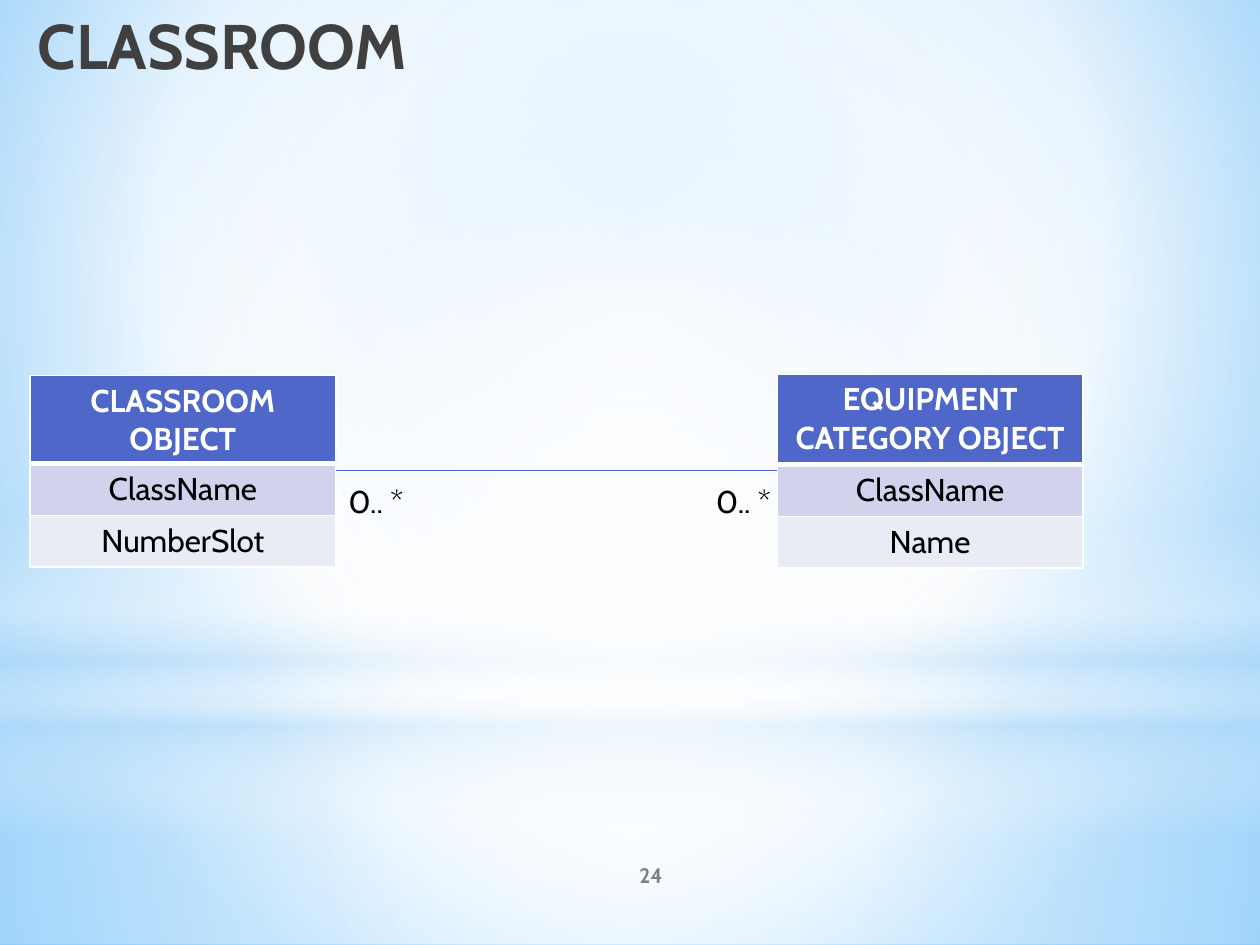
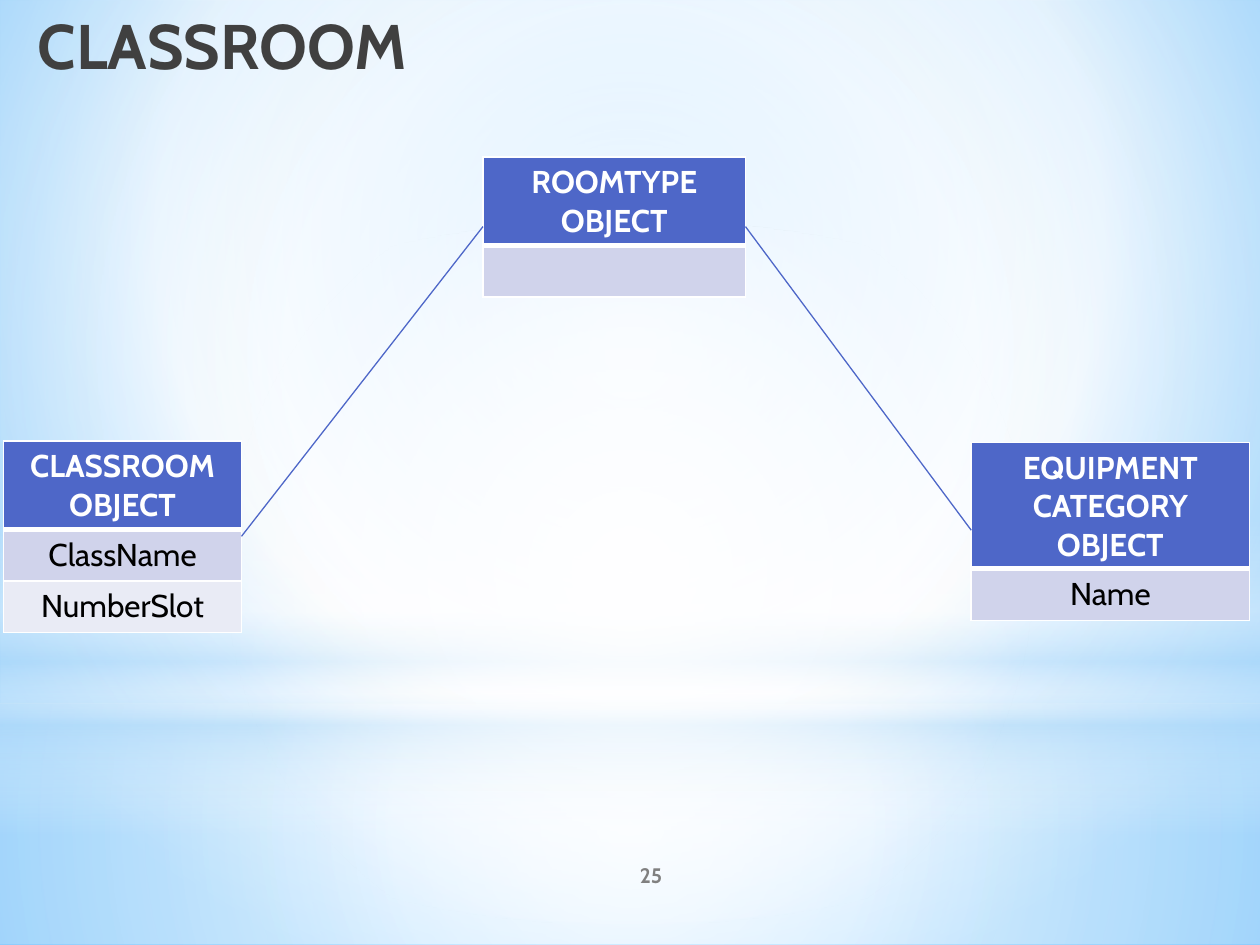
from typing import NamedTuple

from lxml import etree
from pptx import Presentation
from pptx.dml.color import RGBColor
from pptx.enum.shapes import MSO_CONNECTOR as Link, MSO_SHAPE as Kind
from pptx.enum.text import MSO_ANCHOR as Anchor, MSO_AUTO_SIZE as Fit, PP_ALIGN as Align
from pptx.oxml import parse_xml
from pptx.oxml.ns import nsdecls, qn
from pptx.util import Pt

FONT = "Cabin"
WHITE = RGBColor(0xFF, 0xFF, 0xFF)
BLACK = RGBColor(0, 0, 0)
INK = RGBColor(0x40, 0x40, 0x40)
GRAY = RGBColor(0x80, 0x80, 0x80)
BLUE = RGBColor(0x4E, 0x67, 0xC8)
BANDS = (RGBColor(0xD0, 0xD3, 0xEB), RGBColor(0xE9, 0xEB, 0xF5))
MIST = RGBColor(0xB4, 0xDC, 0xFA)
SKY = RGBColor(0x9E, 0xD5, 0xFF)
DEEP = RGBColor(0x5B, 0xB9, 0xFF)

WIDE, HIGH = 720, 540
ROW = 29.5
MID = (50, 50, 50, 50)


class Stop(NamedTuple):
    pos: int
    color: RGBColor
    alpha: int = 100


class Layer(NamedTuple):
    kind: Kind
    top: float
    height: float
    stops: tuple[Stop, ...]
    focus: tuple[int, ...] | None = MID


class Entity(NamedTuple):
    name: str
    left: float
    top: float
    width: float
    rows: tuple[str, ...]
    head: float = 50.5


class Line(NamedTuple):
    x1: float
    y1: float
    x2: float
    y2: float


class Label(NamedTuple):
    text: str
    left: float
    top: float


class Page(NamedTuple):
    number: int
    tables: tuple[Entity, ...]
    lines: tuple[Line, ...]
    labels: tuple[Label, ...] = ()


SKYBOX = (Stop(0, SKY), Stop(60, WHITE), Stop(100, DEEP))
LAYERS = (
    Layer(Kind.RECTANGLE, 402, 138,
          (Stop(0, WHITE, 91), Stop(37, WHITE, 76), Stop(100, MIST, 79))),
    Layer(Kind.RECTANGLE, 0, 402,
          (Stop(0, WHITE, 89), Stop(48, WHITE, 62), Stop(100, MIST, 79))),
    Layer(Kind.RECTANGLE, 297, 180,
          (Stop(0, WHITE, 0), Stop(29, WHITE, 30), Stop(45, MIST, 40),
           Stop(55, WHITE, 26), Stop(65, MIST, 60), Stop(100, WHITE, 0)), None),
    Layer(Kind.OVAL, 126, 402, (Stop(0, WHITE), Stop(56, WHITE, 0))),
)
ROOM = ("ClassName", "NumberSlot")
PAGES = (
    Page(24,
         (Entity("CLASSROOM OBJECT", 17, 214.5, 175, ROOM),
          Entity("EQUIPMENT CATEGORY OBJECT", 444, 213.75, 175,
                 ("ClassName", "Name"), 51.8)),
         (Line(192, 269, 444, 269),),
         (Label("0.. *", 402, 272), Label("0.. *", 192, 272))),
    Page(25,
         (Entity("ROOMTYPE OBJECT", 276, 89.75, 150, ("",)),
          Entity("CLASSROOM OBJECT", 2, 252, 136, ROOM),
          Entity("EQUIPMENT CATEGORY OBJECT", 555, 253, 159, ("Name",), 72)),
         (Line(138, 306.5, 276, 129.5), Line(426, 129.5, 555, 303))),
)


def grade(stops: tuple[Stop, ...], focus: tuple[int, ...] | None):
    """Return a gradient fill: round towards focus, or top to bottom."""
    marks = "".join(
        f'<a:gs pos="{s.pos * 1000}"><a:srgbClr val="{s.color}">'
        f'<a:alpha val="{s.alpha * 1000}"/></a:srgbClr></a:gs>' for s in stops)
    if focus:
        sides = " ".join(f'{k}="{v * 1000}"' for k, v in zip("ltrb", focus))
        flow = f'<a:path path="circle"><a:fillToRect {sides}/></a:path>'
    else:
        flow = '<a:lin ang="5400000" scaled="0"/>'
    return parse_xml(f'<a:gradFill {nsdecls("a")} rotWithShape="1">'
                     f'<a:gsLst>{marks}</a:gsLst>{flow}</a:gradFill>')


def set_grade(props, stops: tuple[Stop, ...], focus: tuple[int, ...] | None) -> None:
    """Swap the solid fill in props for a gradient."""
    props.replace(props.find(qn("a:solidFill")), grade(stops, focus))


def paint_master(master, slide) -> None:
    """Draw the backdrop on slide and move its layers to the master."""
    master.background.fill.solid()
    set_grade(master.element.find(".//" + qn("p:bgPr")), SKYBOX, (20, 10, 20, 60))
    for i, layer in enumerate(LAYERS):
        shape = slide.shapes.add_shape(layer.kind, 0, Pt(layer.top),
                                       Pt(WIDE), Pt(layer.height))
        shape.shadow.inherit = False
        shape.line.fill.background()
        shape.fill.solid()
        set_grade(shape.element.spPr, layer.stops, layer.focus)
        shape.element.find(".//" + qn("p:cNvPr")).set("id", str(20 + i))
        master.shapes.element.insert(2 + i, shape.element)


def write(frame, text: str, size: float, color: RGBColor,
          bold: bool = False, align: Align = Align.CENTER) -> None:
    frame.word_wrap = True
    frame.text = text
    para = frame.paragraphs[0]
    para.alignment = align
    for run in para.runs:
        font = run.font
        font.name, font.size, font.bold = FONT, Pt(size), bold
        font.color.rgb = color


def edge(cell, top: float, bottom: float) -> None:
    """Give a cell white borders, one point wide at the sides."""
    props = cell._tc.get_or_add_tcPr()
    for i, (side, width) in enumerate(zip("LRTB", (1, 1, top, bottom))):
        line = etree.Element(qn(f"a:ln{side}"), w=str(Pt(width)))
        fill = etree.SubElement(line, qn("a:solidFill"))
        etree.SubElement(fill, qn("a:srgbClr"), val=str(WHITE))
        props.insert(i, line)


def draw_table(slide, item: Entity) -> None:
    texts = (item.name, *item.rows)
    table = slide.shapes.add_table(
        len(texts), 1, Pt(item.left), Pt(item.top), Pt(item.width),
        Pt(item.head + ROW * len(item.rows))).table
    for i, text in enumerate(texts):
        head = i == 0
        table.rows[i].height = Pt(item.head if head else ROW)
        cell = table.cell(i, 0)
        cell.fill.solid()
        cell.fill.fore_color.rgb = BLUE if head else BANDS[(i - 1) % 2]
        write(cell.text_frame, text, 18, WHITE if head else BLACK, head)
        edge(cell, 3 if i == 1 else 1, 3 if head else 1)


def draw_line(slide, line: Line) -> None:
    link = slide.shapes.add_connector(Link.STRAIGHT, *map(Pt, line))
    link.line.color.rgb = BLUE
    link.line.width = Pt(0.75)
    etree.SubElement(link.element.spPr, qn("a:effectLst"))


def draw_label(slide, label: Label) -> None:
    box = slide.shapes.add_textbox(Pt(label.left), Pt(label.top), Pt(54), Pt(29))
    write(box.text_frame, label.text, 18, BLACK, align=Align.LEFT)


def draw_title(slide) -> None:
    title = slide.shapes.title
    title.left, title.top, title.width, title.height = map(Pt, (0, 0, 240, 63))
    frame = title.text_frame
    write(frame, "CLASSROOM", 36, INK, True, Align.RIGHT)
    frame.vertical_anchor = Anchor.TOP
    frame.auto_size = Fit.NONE


def draw_number(slide, number: int) -> None:
    box = slide.shapes.add_textbox(Pt(300), Pt(486), Pt(144), Pt(28.75))
    write(box.text_frame, str(number), 12, GRAY, True)
    box.text_frame.vertical_anchor = Anchor.MIDDLE


def main() -> None:
    prs = Presentation()
    prs.slide_width, prs.slide_height = Pt(WIDE), Pt(HIGH)
    for page in PAGES:
        slide = prs.slides.add_slide(prs.slide_layouts[5])
        if page is PAGES[0]:
            paint_master(prs.slide_master, slide)
        draw_title(slide)
        draw_number(slide, page.number)
        for item in page.tables:
            draw_table(slide, item)
        for line in page.lines:
            draw_line(slide, line)
        for label in page.labels:
            draw_label(slide, label)
    prs.save("out.pptx")


if __name__ == "__main__":
    main()
